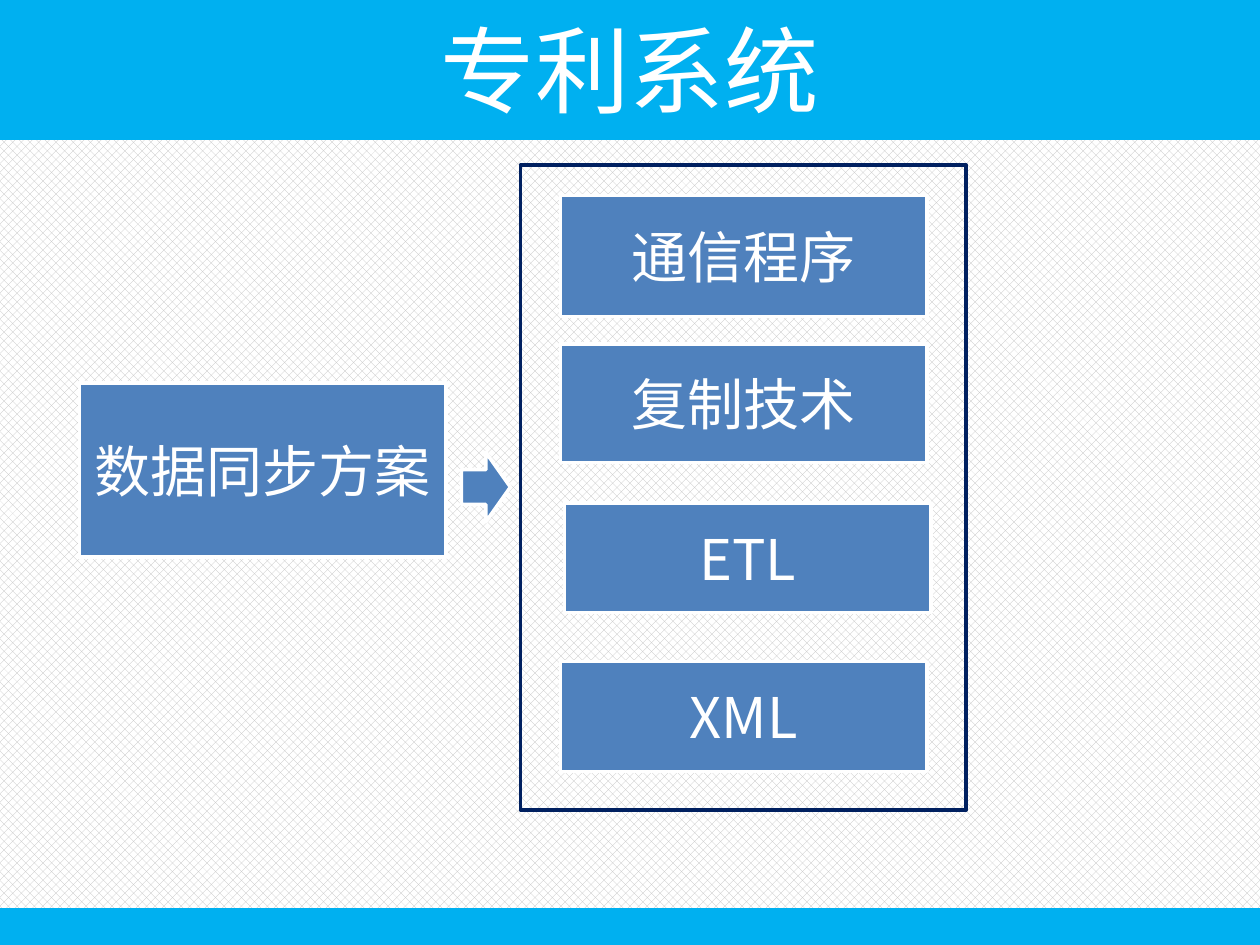
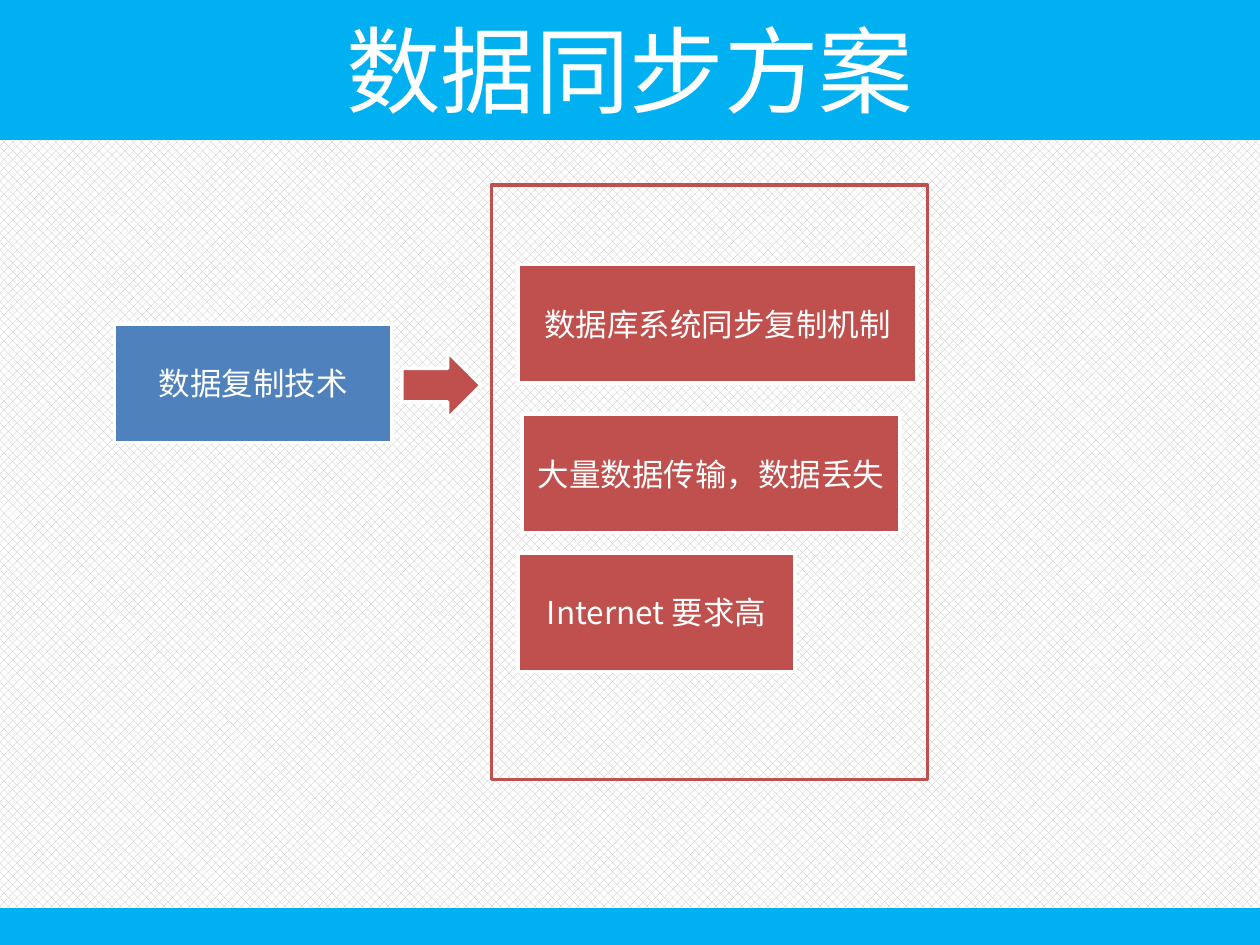
from lxml.etree import SubElement
from pptx import Presentation
from pptx.dml.color import RGBColor as RGB
from pptx.enum.dml import MSO_PATTERN as PAT
from pptx.enum.shapes import MSO_SHAPE as SHAPE
from pptx.enum.text import MSO_ANCHOR as ANCHOR, PP_ALIGN as ALIGN
from pptx.oxml.ns import qn
from pptx.util import Cm, Pt

COLORS = {
    "band": "00B0F0", "blue": "4F81BD", "red": "C0504D",
    "navy": "002060", "white": "FFFFFF", "weave": "BFBFBF",
}
WIDE, HIGH = 25.4, 19.05
HEAD, FOOT = 2.79, 0.74
TITLE_FONT, BODY_FONT = "Noto Sans CJK JP", "Noto Sans CJK SC"


def color(name):
    """Return the named colour."""
    return RGB.from_string(COLORS[name])


def draw(slide, box, fill=None, line=None, width=2, kind=SHAPE.RECTANGLE):
    """Add a flat shape in box (left, top, width, height, in cm)."""
    shape = slide.shapes.add_shape(kind, *map(Cm, box))
    shape.shadow.inherit = False
    if fill:
        shape.fill.solid()
        shape.fill.fore_color.rgb = color(fill)
    else:
        shape.fill.background()
    if line:
        shape.line.color.rgb = color(line)
        shape.line.width = Pt(width)
    else:
        shape.line.fill.background()
    return shape


def write(shape, text, size, face=BODY_FONT):
    """Put one centred white line of text in a shape."""
    frame = shape.text_frame
    frame.word_wrap = True
    frame.vertical_anchor = ANCHOR.MIDDLE
    para = frame.paragraphs[0]
    para.text = text
    para.alignment = ALIGN.CENTER
    font = para.font
    font.size, font.name = Pt(size), face
    font.color.rgb = color("white")
    props = para._p.pPr.find(qn("a:defRPr"))
    SubElement(props, qn("a:ea"), typeface=face)


def start(deck, title):
    """Add a slide with woven ground, title band and foot band."""
    slide = deck.slides.add_slide(deck.slide_layouts[6])
    ground = slide.background.fill
    ground.patterned()
    ground.pattern = PAT.PERCENT_50
    ground.fore_color.rgb = color("weave")
    ground.back_color.rgb = color("white")
    head = draw(slide, (0, 0, WIDE, HEAD), "band", "band", 1.5)
    write(head, title, 54, TITLE_FONT)
    draw(slide, (0, HIGH - FOOT, WIDE, FOOT), "band")
    return slide


def label(slide, box, text, size, fill):
    """Add a filled, white-edged box with text."""
    write(draw(slide, box, fill, "white"), text, size)


def arrow(slide, box, fill):
    """Add a block arrow pointing right."""
    draw(slide, box, fill, "white", kind=SHAPE.RIGHT_ARROW)


def panel(slide, box, items, size, fill, edge):
    """Add a framed list; items hold text and a place within the frame."""
    left, top = box[:2]
    for text, (x, y, wide, high) in items:
        label(slide, (left + x, top + y, wide, high), text, size, fill)
    draw(slide, box, line=edge)


def patent(deck):
    """Build the slide of ways to synchronise data."""
    slide = start(deck, "专利系统")
    wide = 7.39
    label(slide, (1.6, 7.72, wide, 3.51), "数据同步方案", 32, "blue")
    items = [
        ("通信程序", (0.81, 0.61, wide, 2.44)),
        ("复制技术", (0.81, 3.61, wide, 2.39)),
        ("ETL", (0.89, 6.81, wide, 2.21)),
        ("XML", (0.81, 10.01, wide, 2.21)),
    ]
    panel(slide, (10.49, 3.33, 8.99, 13), items, 32, "blue", "navy")
    arrow(slide, (9.3, 9.12, 0.99, 1.4), "blue")


def method(deck):
    """Build the slide on data replication."""
    slide = start(deck, "数据同步方案")
    wide, high = 5.59, 2.39
    label(slide, (2.31, 6.53, wide, high), "数据复制技术", 18, "blue")
    items = [
        ("数据库系统同步复制机制", (0.53, 1.6, 8.05, high)),
        ("大量数据传输，数据丢失", (0.61, 4.62, 7.62, high)),
        ("Internet 要求高", (0.53, 7.42, wide, high)),
    ]
    panel(slide, (9.91, 3.73, 8.79, 11.99), items, 18, "red", "red")
    arrow(slide, (8.1, 7.09, 1.6, 1.35), "red")


deck = Presentation()
deck.slide_width, deck.slide_height = Cm(WIDE), Cm(HIGH)
patent(deck)
method(deck)
deck.save("out.pptx")
